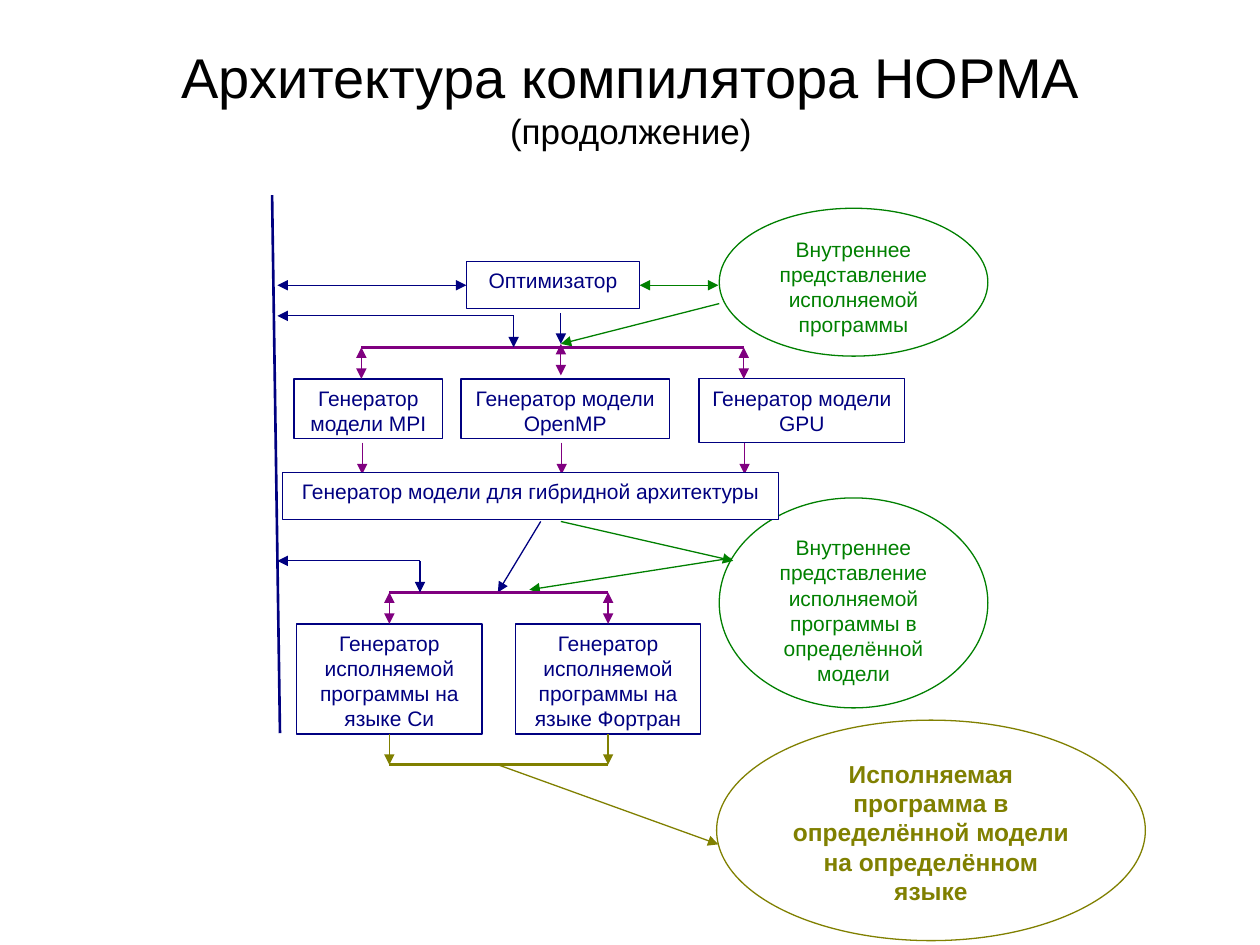
from lxml import etree
from pptx import Presentation
from pptx import util as u
from pptx.dml.color import RGBColor
from pptx.enum import shapes, text
from pptx.oxml import ns

NAVY = RGBColor(0x00, 0x00, 0x80)
GREEN = RGBColor(0x00, 0x80, 0x00)
PURPLE = RGBColor(0x80, 0x00, 0x80)
OLIVE = RGBColor(0x80, 0x80, 0x00)
BLACK = RGBColor(0x00, 0x00, 0x00)
WHITE = RGBColor(0xFF, 0xFF, 0xFF)

FONT = "Arial"
THIN, THICK = 0.75, 1.5
RECTANGLE = shapes.MSO_SHAPE.RECTANGLE
OVAL = shapes.MSO_SHAPE.OVAL
TOP, LEFT, BOTTOM, RIGHT = range(4)


def place(shape, x, y, width, height):
    shape.left, shape.top = u.Pt(x), u.Pt(y)
    shape.width, shape.height = u.Pt(width), u.Pt(height)


def format_paragraph(paragraph, size, color, bold=False):
    paragraph.alignment = text.PP_ALIGN.CENTER
    for run in paragraph.runs:
        run.font.name = FONT
        run.font.size = u.Pt(size)
        run.font.bold = bold
        run.font.color.rgb = color


def set_title(slide, lines, sizes):
    title = slide.shapes.title
    place(title, 42.5, 20.5, 636, 70)
    frame = title.text_frame
    frame.text = "\n".join(lines)
    frame.word_wrap = True
    frame.auto_size = text.MSO_AUTO_SIZE.NONE
    frame.vertical_anchor = text.MSO_ANCHOR.TOP
    for paragraph, size in zip(frame.paragraphs, sizes):
        format_paragraph(paragraph, size, BLACK)


def add_node(slide, kind, box, words, color, size=12, bold=False):
    """Outlined white shape with centred text starting at its top."""
    node = slide.shapes.add_shape(kind, *(u.Pt(length) for length in box))
    node.shadow.inherit = False
    node.fill.solid()
    node.fill.fore_color.rgb = WHITE
    node.line.color.rgb = color
    node.line.width = u.Pt(THIN)
    frame = node.text_frame
    frame.text = words
    frame.word_wrap = True
    frame.vertical_anchor = text.MSO_ANCHOR.TOP
    format_paragraph(frame.paragraphs[0], size, color, bold)
    return node


def add_line(slide, start, end, color, arrows="", width=THIN):
    """Straight line; arrows may hold '<' (at start) and '>' (at end)."""
    line = slide.shapes.add_connector(
        shapes.MSO_CONNECTOR.STRAIGHT, *(u.Pt(value) for value in start + end))
    line.line.color.rgb = color
    line.line.width = u.Pt(width)
    outline = line.line._get_or_add_ln()
    for mark, tag in (("<", "a:headEnd"), (">", "a:tailEnd")):
        if mark in arrows:
            etree.SubElement(outline, ns.qn(tag), type="triangle")
    etree.SubElement(line._element.spPr, ns.qn("a:effectLst"))
    return line


def add_elbow(slide, bus_x, corner, drop):
    """Link from the bus to a bar: arrow left, then arrow down."""
    x, y = corner
    add_line(slide, (bus_x, y), corner, NAVY, "<")
    add_line(slide, corner, (x, y + drop), NAVY, ">")


def main():
    presentation = Presentation()
    presentation.slide_width, presentation.slide_height = u.Pt(720), u.Pt(540)
    slide = presentation.slides.add_slide(presentation.slide_layouts[5])
    set_title(slide, ["Архитектура компилятора НОРМА", "(продолжение)"], [32, 20])

    bus_x, drop = 158.5, 18
    model_bar, language_bar, result_bar = 198.5, 338.5, 437

    # Data ovals
    add_node(slide, OVAL, (411, 119, 153.5, 84.5),
             "Внутреннее представление исполняемой программы", GREEN)
    add_node(slide, OVAL, (411, 284.5, 153.5, 120),
             "Внутреннее представление исполняемой программы в определённой модели",
             GREEN)
    add_node(slide, OVAL, (409.5, 411.5, 245, 126),
             "Исполняемая программа в определённой модели на определённом языке",
             OLIVE, 14, True)

    # Common bus and optimizer
    add_line(slide, (155.5, 111.5), (160, 419), NAVY, width=THICK)
    optimizer = add_node(slide, RECTANGLE, (266.5, 149.5, 99, 27), "Оптимизатор", NAVY)
    to_bus = add_line(slide, (bus_x, 163), (266.5, 163), NAVY, "<>")
    to_bus.end_connect(optimizer, LEFT)
    to_data = add_line(slide, (365.5, 163), (410.5, 163), GREEN, "<>")
    to_data.begin_connect(optimizer, RIGHT)
    add_line(slide, (320.5, 179), (320.5, 196.5), NAVY, ">")
    add_line(slide, (320.5, 196.5), (411, 173.5), GREEN, "<")

    # Model generators: bar above, arrows to the hybrid generator below
    add_line(slide, (206.5, model_bar), (425, model_bar), PURPLE, width=THICK)
    add_elbow(slide, bus_x, (293.5, model_bar - drop), drop)
    models = [
        ("MPI", 168, 85, 34, 206.5, model_bar),
        ("OpenMP", 263.5, 119, 34, 320.5, model_bar - 2),
        ("GPU", 399.5, 117.5, 36.5, 425, model_bar),
    ]
    for name, x, width, height, arrow_x, arrow_y in models:
        add_node(slide, RECTANGLE, (x, 216.5, width, height),
                 f"Генератор модели {name}", NAVY)
        add_line(slide, (arrow_x, arrow_y), (arrow_x, arrow_y + drop), PURPLE, "<>")
        add_line(slide, (arrow_x + 0.5, 253), (arrow_x + 0.5, 253 + drop), PURPLE, ">")

    # Hybrid generator and its outputs
    add_node(slide, RECTANGLE, (161.5, 270, 283.5, 27),
             "Генератор модели для гибридной архитектуры", NAVY)
    add_line(slide, (309, 298), (284.5, language_bar), NAVY, ">")
    add_line(slide, (320.5, 298), (419, 320.5), GREEN, ">")
    add_line(slide, (417.5, 319), (302.5, 337), GREEN, ">")

    # Language generators between two bars
    language_x = (222.5, 347.5)
    for bar, color in ((language_bar, PURPLE), (result_bar, OLIVE)):
        add_line(slide, (language_x[0], bar), (language_x[1], bar), color, width=THICK)
    add_elbow(slide, bus_x, (240, language_bar - drop), drop)
    for language, x in zip(("Си", "Фортран"), language_x):
        box = add_node(slide, RECTANGLE, (x - 53, 356.5, 106, 63),
                       f"Генератор исполняемой программы на языке {language}", NAVY)
        entry = add_line(slide, (x, language_bar), (x, 356.5), PURPLE, "<>")
        entry.end_connect(box, TOP)
        leave = add_line(slide, (x, 419.5), (x, result_bar), OLIVE, ">")
        leave.begin_connect(box, BOTTOM)
    add_line(slide, (284.5, result_bar), (410.5, 482.5), OLIVE, ">")

    presentation.save("out.pptx")


if __name__ == "__main__":
    main()
